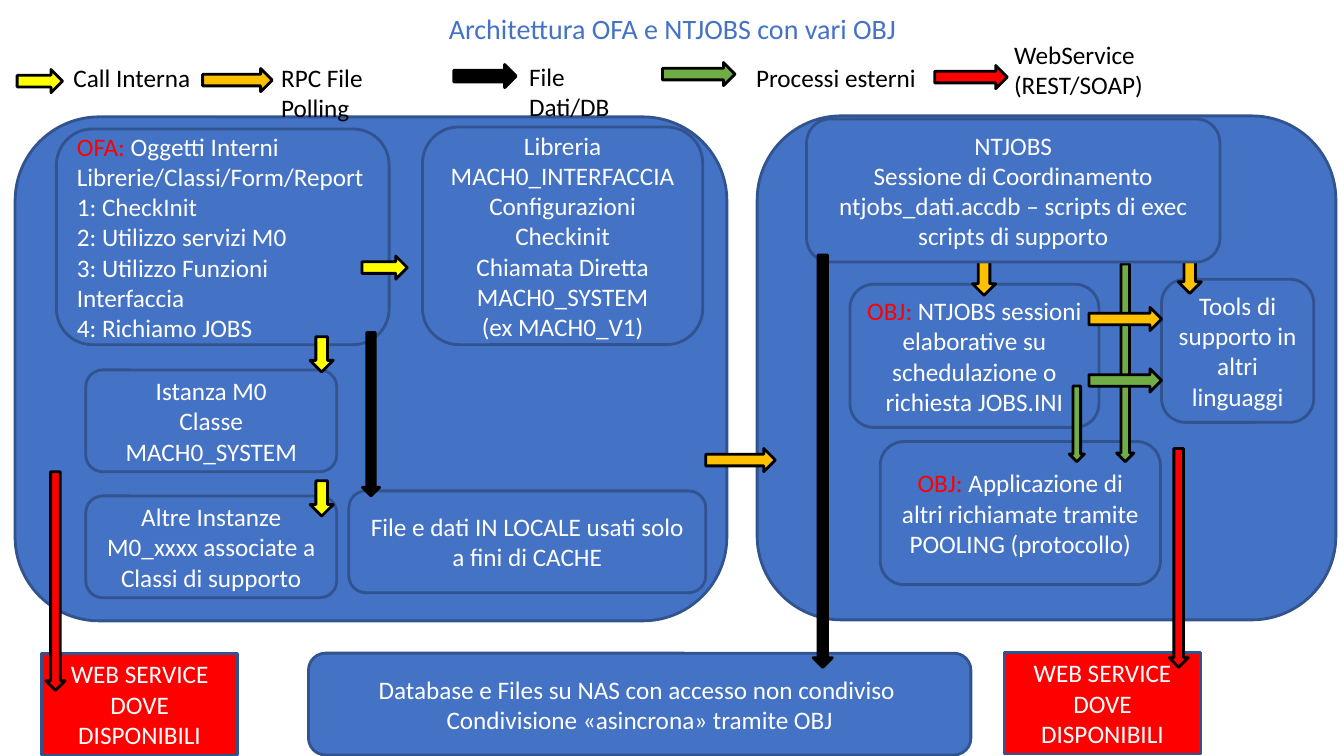
from pptx import Presentation
from pptx.dml.color import RGBColor
from pptx.enum.shapes import MSO_SHAPE
from pptx.enum.text import MSO_ANCHOR, MSO_AUTO_SIZE, PP_ALIGN
from pptx.util import Inches, Pt

ROUND, RECT, ARROW = MSO_SHAPE.ROUNDED_RECTANGLE, MSO_SHAPE.RECTANGLE, MSO_SHAPE.RIGHT_ARROW
LEFT, MID = PP_ALIGN.LEFT, PP_ALIGN.CENTER
TOP, MIDDLE = MSO_ANCHOR.TOP, MSO_ANCHOR.MIDDLE
FIXED, GROW = MSO_AUTO_SIZE.NONE, MSO_AUTO_SIZE.SHAPE_TO_FIT_TEXT

HUES = {
    "blue": "4472C4", "edge": "31538F", "white": "FFFFFF", "black": "000000",
    "red": "FF0000", "yellow": "FFFF00", "orange": "FFC000", "green": "70AD47",
}


def hue(name):
    return RGBColor.from_string(HUES[name])


class Board:
    font = "Calibri"
    size = 18

    def __init__(self, deck):
        self.slide = deck.slides.add_slide(deck.slide_layouts[5])
        self.shapes = self.slide.shapes

    def put_text(self, frame, text, color, align=MID, lead="", anchor=MIDDLE, size=size):
        """Fill a frame; \\n parts paragraphs, \\v breaks a line, lead is red."""
        frame.word_wrap = True
        frame.vertical_anchor = anchor
        frame.text = lead or text
        if lead:
            first, *rest = text.split("\n")
            para = frame.paragraphs[0]
            for i, line in enumerate(first.split("\v")):
                if i:
                    para.add_line_break()
                para.add_run().text = line
            for line in rest:
                frame.add_paragraph().text = line
        for para in frame.paragraphs:
            para.alignment = align
            for run in para.runs:
                run.font.name, run.font.size = self.font, Pt(size)
                run.font.color.rgb = hue(color)
        if lead:
            frame.paragraphs[0].runs[0].font.color.rgb = hue("red")

    def title(self, at, text):
        head = self.shapes.title
        head.left, head.top, head.width, head.height = map(Inches, at)
        self.put_text(head.text_frame, text, "blue", size=20)
        head.text_frame.auto_size = FIXED
        head.text_frame.paragraphs[0].line_spacing = 0.9

    def shape(self, kind, at, fill, line):
        item = self.shapes.add_shape(kind, *map(Inches, at))
        item.shadow.inherit = False
        item.fill.solid()
        item.fill.fore_color.rgb = hue(fill)
        item.line.color.rgb = hue(line)
        item.line.width = Pt(2)
        return item

    def box(self, at, text="", kind=ROUND, fill="blue", align=MID, lead=""):
        item = self.shape(kind, at, fill, "edge")
        if text:
            self.put_text(item.text_frame, text, "white", align, lead)

    def arrow(self, at, fill):
        return self.shape(ARROW, at, fill, "black")

    def down(self, mid, top, length, thick, fill):
        """Arrow pointing down, centred on x = mid."""
        at = mid - length / 2, top + (length - thick) / 2, length, thick
        self.arrow(at, fill).rotation = 90

    def label(self, at, text):
        frame = self.shapes.add_textbox(*map(Inches, at)).text_frame
        self.put_text(frame, text, "black", LEFT, anchor=TOP)
        frame.auto_size = GROW


def main():
    deck = Presentation()
    deck.slide_width, deck.slide_height = Inches(13.33), Inches(7.5)
    board = Board(deck)
    board.title((0.92, 0.09, 11.5, 0.43), "Architettura OFA e NTJOBS con vari OBJ")

    # Two main panels
    board.box((0.15, 1.16, 7.06, 5))
    board.box((7.51, 1.15, 5.74, 5))

    # OFA panel
    board.box((0.85, 3.67, 2.49, 1.01), "Istanza M0\nClasse\nMACH0_SYSTEM")
    board.box((4.19, 1.26, 2.78, 2.16),
              "Libreria\vMACH0_INTERFACCIA\vConfigurazioni\vCheckinit\n"
              "Chiamata Diretta MACH0_SYSTEM\v(ex MACH0_V1)")
    board.box((0.85, 4.92, 2.49, 1.01),
              "Altre Instanze M0_xxxx associate a Classi di supporto")
    board.box((0.56, 1.28, 3.3, 2.14),
              "Oggetti Interni \vLibrerie/Classi/Form/Report\v1: CheckInit\n"
              "2: Utilizzo servizi M0\n3: Utilizzo Funzioni Interfaccia\n4: Richiamo JOBS",
              align=LEFT, lead="OFA: ")
    board.box((3.46, 4.87, 3.54, 1.01), "File e dati IN LOCALE usati solo a fini di CACHE")
    board.arrow((3.59, 2.54, 0.45, 0.23), "yellow")
    for top in (3.34, 4.77):
        board.down(3.19, top, 0.35, 0.23, "yellow")
    board.down(3.68, 3.3, 1.62, 0.17, "black")

    # NTJOBS panel
    board.box((8.43, 2.82, 2.47, 1.42),
              " NTJOBS sessioni elaborative su schedulazione o richiesta JOBS.INI", lead="OBJ:")
    board.box((8.73, 4.38, 2.78, 1.42),
              "Applicazione di altri richiamate tramite POOLING (protocollo)", lead="OBJ: ")
    board.box((11.52, 2.77, 1.51, 1.42), "Tools di supporto in altri linguaggi")
    board.down(9.76, 2.58, 0.35, 0.23, "orange")
    board.down(11.16, 2.62, 1.96, 0.17, "green")
    board.down(11.8, 2.56, 0.35, 0.23, "orange")
    board.arrow((10.8, 3.05, 0.72, 0.23), "orange")
    board.arrow((10.8, 3.66, 0.72, 0.23), "green")
    board.down(10.68, 3.83, 0.75, 0.15, "green")
    board.box((8, 1.18, 4.1, 1.42),
              "NTJOBS\nSessione di Coordinamento\v"
              "ntjobs_dati.accdb – scripts di exec\vscripts di supporto")

    # Shared storage and web services
    board.box((3.06, 6.48, 6.57, 1.01),
              "Database e Files su NAS con accesso non condiviso \v"
              "Condivisione «asincrona» tramite OBJ")
    board.down(8.16, 2.53, 4.09, 0.19, "black")
    board.arrow((7, 4.45, 0.69, 0.23), "orange")
    for left, top, mid, start in ((0.41, 6.48, 0.55, 4.68), (9.96, 6.47, 11.69, 4.45)):
        board.box((left, top, 1.95, 1.01), "WEB SERVICE DOVE DISPONIBILI", RECT, "red")
        board.down(mid, start, 2.17, 0.19, "red")

    # Legend: arrow left, top, width, colour; label place and text
    legend = (
        (0.17, 0.69, 0.45, "yellow", (0.63, 0.57, 1.36, 0.7), "Call Interna"),
        (2.01, 0.68, 0.69, "orange", (2.69, 0.57, 1.73, 0.7), "RPC File Polling"),
        (4.5, 0.64, 0.62, "black", (5.15, 0.56, 1.4, 0.7), "File Dati/DB"),
        (6.57, 0.62, 0.72, "green", (7.4, 0.57, 2.12, 0.4), "Processi esterni"),
        (9.27, 0.65, 0.72, "red", (9.96, 0.34, 1.53, 0.7), "WebService (REST/SOAP)"),
    )
    for left, top, width, fill, place, text in legend:
        board.arrow((left, top, width, 0.23), fill)
        board.label(place, text)

    deck.save("out.pptx")


if __name__ == "__main__":
    main()
